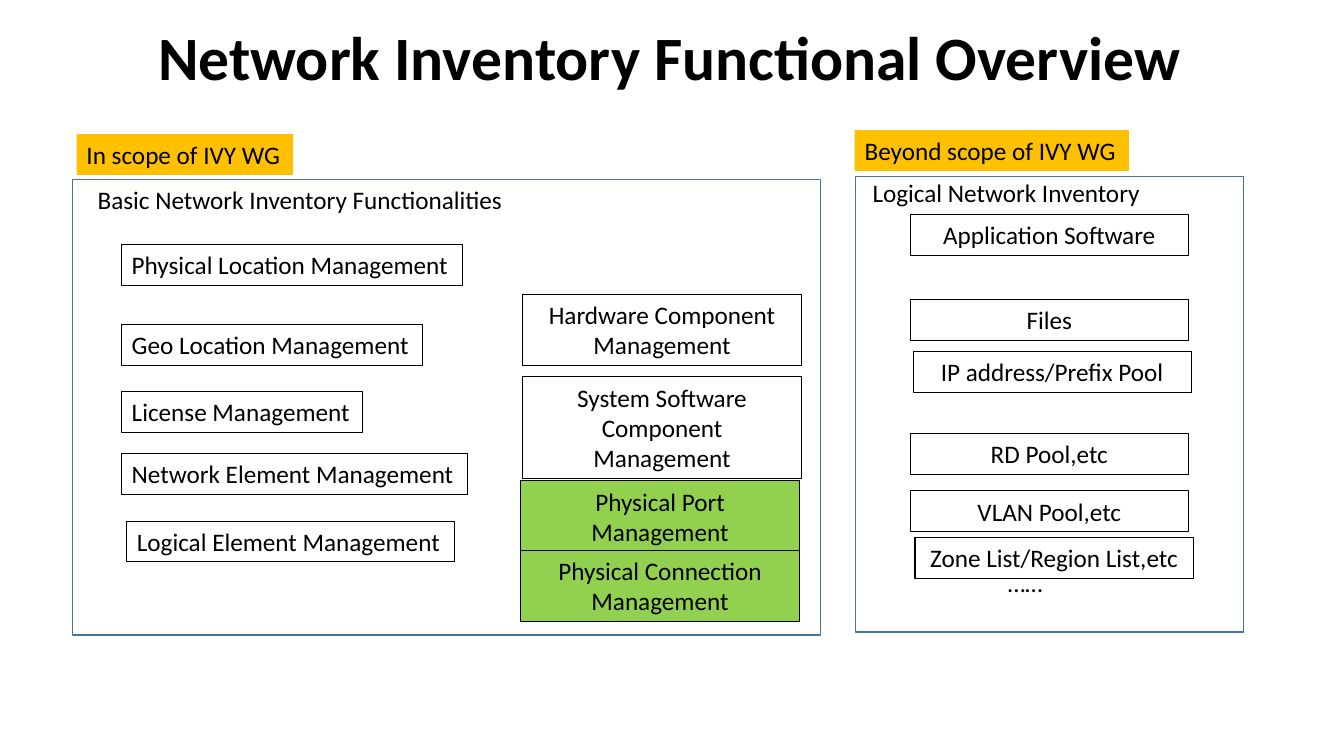
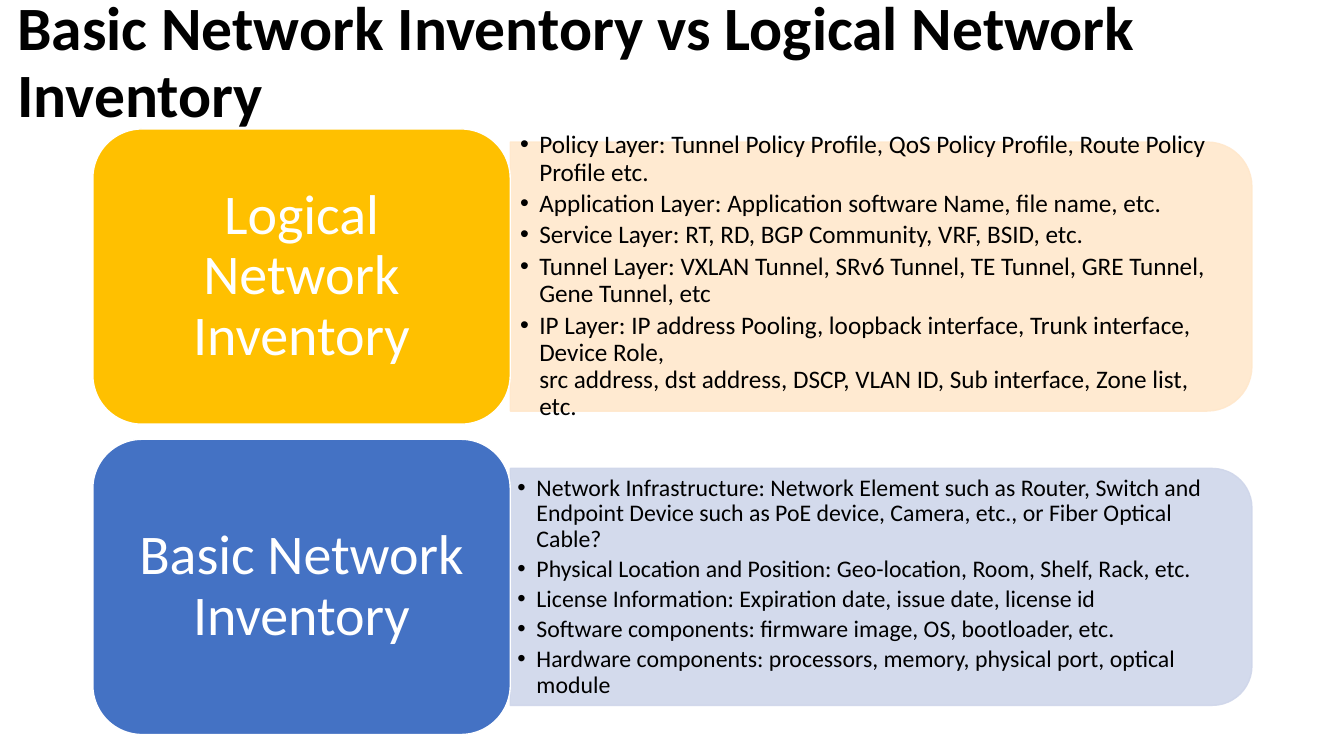
from dataclasses import dataclass
from typing import Optional

from lxml.etree import SubElement
from pptx import Presentation
from pptx.dml.color import RGBColor
from pptx.enum.shapes import MSO_SHAPE
from pptx.enum.text import MSO_ANCHOR, MSO_AUTO_SIZE, PP_ALIGN
from pptx.oxml.ns import qn
from pptx.util import Cm, Pt


@dataclass(frozen=True)
class Theme:
    font: str = "Calibri"
    black: str = "000000"
    white: str = "FFFFFF"
    amber: str = "FFC000"
    blue: str = "4472C4"
    green: str = "92D050"
    frame: str = "43739E"
    pale_amber: str = "FFE8CC"
    pale_blue: str = "CFD6EA"
    title_size: float = 44
    card_size: float = 40
    text_size: float = 18
    small_size: float = 17
    line_spacing: float = 0.9


THEME = Theme()


@dataclass(frozen=True)
class Box:
    """A label, with lengths in centimetres."""
    text: str
    left: float
    top: float
    width: float
    height: float = 1.03
    fill: Optional[str] = None
    outlined: bool = True
    centred: bool = False


@dataclass(frozen=True)
class InventoryRow:
    """A card with its band of bullets, all centred on one height."""
    name: str
    top: float
    colour: str
    band_colour: str
    band_height: float
    list_width: float
    list_height: float
    list_size: float
    margins: tuple[float, float]
    items: list[str]


# Shared helpers
def rgb(value: str) -> RGBColor:
    return RGBColor.from_string(value)


def place(shape, left: float, top: float, width: float, height: float) -> None:
    shape.left, shape.top = Cm(left), Cm(top)
    shape.width, shape.height = Cm(width), Cm(height)


def format_runs(paragraph, size: float, colour: str = THEME.black, bold: bool = False) -> None:
    for run in paragraph.runs:
        run.font.name = THEME.font
        run.font.size = Pt(size)
        run.font.bold = bold
        run.font.color.rgb = rgb(colour)


def set_margins(frame, horizontal: float, vertical: float) -> None:
    frame.margin_left = frame.margin_right = Cm(horizontal)
    frame.margin_top = frame.margin_bottom = Cm(vertical)


def set_title(slide, text: str, left: float, top: float, width: float, height: float) -> None:
    title = slide.shapes.title
    place(title, left, top, width, height)
    frame = title.text_frame
    frame.text = text
    frame.word_wrap = True
    frame.auto_size = MSO_AUTO_SIZE.NONE
    frame.vertical_anchor = MSO_ANCHOR.MIDDLE
    paragraph = frame.paragraphs[0]
    paragraph.alignment = PP_ALIGN.LEFT
    paragraph.line_spacing = THEME.line_spacing
    format_runs(paragraph, THEME.title_size, bold=True)


def add_plain_shape(slide, kind, left: float, top: float, width: float, height: float,
                    fill: Optional[str], line: str):
    shape = slide.shapes.add_shape(kind, Cm(left), Cm(top), Cm(width), Cm(height))
    shape.shadow.inherit = False
    if fill:
        shape.fill.solid()
        shape.fill.fore_color.rgb = rgb(fill)
    else:
        shape.fill.background()
    shape.line.color.rgb = rgb(line)
    shape.line.width = Pt(1)
    return shape


# Functional overview
def draw_box(slide, box: Box) -> None:
    label = slide.shapes.add_textbox(Cm(box.left), Cm(box.top), Cm(box.width), Cm(box.height))
    if box.fill:
        label.fill.solid()
        label.fill.fore_color.rgb = rgb(box.fill)
    if box.outlined:
        label.line.color.rgb = rgb(THEME.black)
        label.line.width = Pt(0.75)
    frame = label.text_frame
    frame.text = box.text
    frame.word_wrap = box.centred
    frame.auto_size = MSO_AUTO_SIZE.SHAPE_TO_FIT_TEXT
    paragraph = frame.paragraphs[0]
    paragraph.alignment = PP_ALIGN.CENTER if box.centred else PP_ALIGN.LEFT
    format_runs(paragraph, THEME.text_size)


COLUMN_WIDTH = 7.01
PANELS = [(1.83, 4.52, 18.85, 11.48), (21.56, 4.45, 9.78, 11.48)]

HEADINGS = [
    Box("In scope of IVY WG", 1.93, 3.38, 5.46, fill=THEME.amber, outlined=False),
    Box("Beyond scope of IVY WG", 21.54, 3.28, 6.91, fill=THEME.amber, outlined=False),
    Box("Basic Network Inventory Functionalities", 2.21, 4.52, 10.82, outlined=False),
    Box("Logical Network Inventory", 21.74, 4.34, 7.32, outlined=False),
    Box("……", 25.15, 14.17, 1.42, outlined=False),
]

MANAGEMENT = [
    Box("Physical Location Management", 3.07, 6.17, 8.59),
    Box("Geo Location Management", 3.07, 8.18, 7.59),
    Box("License Management", 3.07, 9.86, 6.07),
    Box("Network Element Management", 3.07, 11.43, 8.71),
    Box("Logical Element Management", 3.2, 13.13, 8.26),
]

COMPONENTS = [
    Box(text, left, top, COLUMN_WIDTH, height, fill, centred=True)
    for text, left, top, height, fill in [
        ("Hardware Component Management", 13.18, 7.42, 1.8, None),
        ("System Software Component Management", 13.18, 9.5, 2.57, None),
        ("Physical Port Management", 13.13, 12.12, 1.8, THEME.green),
        ("Physical Connection Management", 13.13, 13.87, 1.8, THEME.green),
    ]
]

LOGICAL_ITEMS = [
    Box(text, left, top, COLUMN_WIDTH, centred=True)
    for text, left, top in [
        ("Application Software", 22.94, 5.41),
        ("Files", 22.94, 7.54),
        ("IP address/Prefix Pool", 23.01, 8.86),
        ("RD Pool,etc", 22.94, 10.92),
        ("VLAN Pool,etc", 22.94, 12.37),
        ("Zone List/Region List,etc", 23.06, 13.54),
    ]
]


def build_overview(deck) -> None:
    slide = deck.slides.add_slide(deck.slide_layouts.get_by_name("Title Only"))
    set_title(slide, "Network Inventory Functional Overview", 3.73, 0.41, 27.5, 2.21)
    for panel in PANELS:
        add_plain_shape(slide, MSO_SHAPE.RECTANGLE, *panel, None, THEME.frame)
    for box in HEADINGS + MANAGEMENT + COMPONENTS + LOGICAL_ITEMS:
        draw_box(slide, box)


# Basic and logical inventory
CARD_LEFT, CARD_WIDTH, CARD_HEIGHT = 2.34, 10.52, 7.44
BAND_LEFT, BAND_WIDTH = CARD_LEFT + CARD_WIDTH, 18.69
BULLET_INDENT = 0.48

ROWS = [
    InventoryRow(
        "Logical Network Inventory", 3.25, THEME.amber, THEME.pale_amber,
        6.78, 18.36, 6.12, THEME.text_size, (0.25, 0.13),
        ["Policy Layer: Tunnel Policy Profile, QoS Policy Profile, Route Policy Profile etc.",
         "Application Layer: Application software Name, file name, etc.",
         "Service Layer: RT, RD, BGP Community, VRF, BSID, etc.",
         "Tunnel Layer: VXLAN Tunnel, SRv6 Tunnel, TE Tunnel, GRE Tunnel, Gene Tunnel, etc",
         "IP Layer: IP address Pooling, loopback interface, Trunk interface, Device Role,\n"
         "src address, dst address, DSCP, VLAN ID, Sub interface, Zone list, etc."]),
    InventoryRow(
        "Basic Network Inventory", 11.07, THEME.blue, THEME.pale_blue,
        5.97, 18.42, 5.38, THEME.small_size, (0.18, 0.1),
        ["Network Infrastructure: Network Element such as Router, Switch and Endpoint Device "
         "such as PoE device, Camera, etc., or Fiber Optical Cable?",
         "Physical Location and Position: Geo-location, Room, Shelf, Rack, etc.",
         "License Information: Expiration date, issue date, license id",
         "Software components: firmware image, OS, bootloader, etc.",
         "Hardware components: processors, memory, physical port, optical module"]),
]


def draw_band(slide, row: InventoryRow, middle: float) -> None:
    # Turned a quarter, so width and height change places
    left = BAND_LEFT + (BAND_WIDTH - row.band_height) / 2
    band = add_plain_shape(slide, MSO_SHAPE.ROUND_2_SAME_RECTANGLE, left, middle - BAND_WIDTH / 2,
                           row.band_height, BAND_WIDTH, row.band_colour, row.band_colour)
    band.rotation = 90
    for colour in band.element.spPr.iter(qn("a:srgbClr")):
        SubElement(colour, qn("a:alpha"), val="90000")


def draw_card(slide, row: InventoryRow) -> None:
    card = add_plain_shape(slide, MSO_SHAPE.ROUNDED_RECTANGLE, CARD_LEFT, row.top,
                           CARD_WIDTH, CARD_HEIGHT, row.colour, THEME.white)
    frame = card.text_frame
    frame.text = row.name
    frame.word_wrap = True
    frame.vertical_anchor = MSO_ANCHOR.MIDDLE
    set_margins(frame, 0.43, 0.2)
    paragraph = frame.paragraphs[0]
    paragraph.alignment = PP_ALIGN.CENTER
    paragraph.line_spacing = THEME.line_spacing
    format_runs(paragraph, THEME.card_size, THEME.white)


def fill_list(body, row: InventoryRow, middle: float) -> None:
    place(body, BAND_LEFT, middle - row.list_height / 2, row.list_width, row.list_height)
    frame = body.text_frame
    frame.word_wrap = True
    frame.auto_size = MSO_AUTO_SIZE.NONE
    frame.vertical_anchor = MSO_ANCHOR.MIDDLE
    set_margins(frame, *row.margins)
    for index, item in enumerate(row.items):
        paragraph = frame.add_paragraph() if index else frame.paragraphs[0]
        paragraph.text = item
        paragraph.line_spacing = THEME.line_spacing
        paragraph.space_before, paragraph.space_after = Pt(0), Pt(3)
        format_runs(paragraph, row.list_size)
        properties = paragraph._p.get_or_add_pPr()
        properties.set("marL", str(Cm(BULLET_INDENT)))
        properties.set("indent", str(-Cm(BULLET_INDENT)))
        SubElement(properties, qn("a:buChar"), char="•")
        for line_break in paragraph._p.findall(qn("a:br")):
            SubElement(line_break, qn("a:rPr"), sz=str(int(row.list_size * 100)))
    # Lift the list above its band
    body.element.getparent().append(body.element)


def build_comparison(deck) -> None:
    slide = deck.slides.add_slide(deck.slide_layouts.get_by_name("Two Content"))
    set_title(slide, "Basic Network Inventory vs Logical Network Inventory",
              0.18, -0.23, 33.53, 3.68)
    bodies = [slide.placeholders[1], slide.placeholders[2]]
    for row, body in zip(ROWS, bodies):
        middle = row.top + CARD_HEIGHT / 2
        draw_band(slide, row, middle)
        draw_card(slide, row)
        fill_list(body, row, middle)


def main() -> None:
    deck = Presentation()
    deck.slide_width, deck.slide_height = Cm(33.87), Cm(19.05)
    build_overview(deck)
    build_comparison(deck)
    deck.save("out.pptx")


if __name__ == "__main__":
    main()
